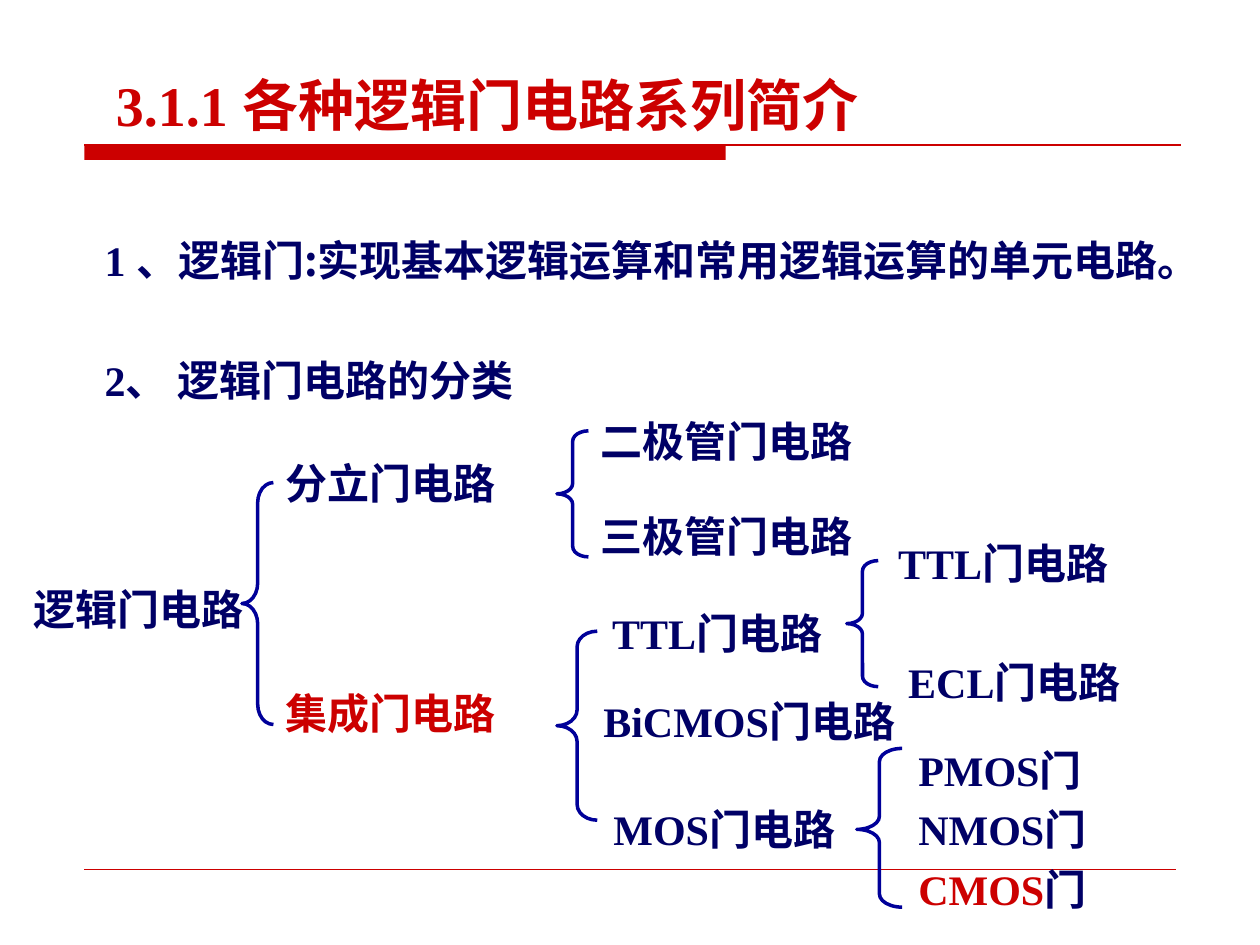
import pptx
import pptx.util
import pptx.dml.color
import pptx.enum.shapes
import pptx.enum.text
import pptx.oxml.ns
from lxml import etree

Inches = pptx.util.Inches
Pt = pptx.util.Pt
SHAPE = pptx.enum.shapes.MSO_SHAPE
COLORS = {"red": "CC0000", "navy": "000066", "brace": "000099"}
LATIN = "Times New Roman"
CJK = "Noto Sans CJK SC"

prs = pptx.Presentation()
prs.slide_width = Inches(10)
prs.slide_height = Inches(7.5)
s = prs.slides.add_slide(prs.slide_layouts[6])


def rgb(name):
    return pptx.dml.color.RGBColor.from_string(COLORS[name])


def add_text(box, runs, size=24, inset=(0.1, 0.05), spacing=None, middle=False):
    tf = s.shapes.add_textbox(*[Inches(v) for v in box]).text_frame
    tf.word_wrap = True
    tf.auto_size = pptx.enum.text.MSO_AUTO_SIZE.SHAPE_TO_FIT_TEXT
    tf.margin_left = tf.margin_right = Inches(inset[0])
    tf.margin_top = tf.margin_bottom = Inches(inset[1])
    if middle:
        tf.vertical_anchor = pptx.enum.text.MSO_ANCHOR.MIDDLE
    p = tf.paragraphs[0]
    if spacing:
        p.line_spacing = spacing
    for text, font, color in runs:
        r = p.add_run()
        r.text = text
        r.font.name = font
        r.font.size = Pt(size)
        r.font.bold = True
        r.font.color.rgb = rgb(color)
        ea = etree.SubElement(r.font._element, pptx.oxml.ns.qn("a:ea"))
        ea.set("typeface", CJK)


bar = s.shapes.add_shape(SHAPE.RECTANGLE, Inches(0.67), Inches(1.15), Inches(5.09), Inches(0.12))
bar.shadow.inherit = False
bar.fill.solid()
bar.fill.fore_color.rgb = rgb("red")
bar.line.fill.background()

for right, y, width in [(9.37, 1.15, 0.75), (9.33, 6.9, 0.25)]:
    line = s.shapes.add_connector(
        pptx.enum.shapes.MSO_CONNECTOR.STRAIGHT, Inches(0.67), Inches(y), Inches(right), Inches(y)
    )
    line.line.color.rgb = rgb("red")
    line.line.width = Pt(width)
    etree.SubElement(line._element.spPr, pptx.oxml.ns.qn("a:effectLst"))

add_text(
    (0.9, 0.55, 6.62, 0.56),
    [("3.1.1 ", LATIN, "red"), ("各种逻辑门电路系列简介", CJK, "red")],
    size=32,
    inset=(0.02, 0.01),
)

for y, width, number, text in [
    (1.86, 8.9, "1 、", "逻辑门:实现基本逻辑运算和常用逻辑运算的单元电路。"),
    (2.81, 5, "2、", " 逻辑门电路的分类"),
]:
    add_text(
        (0.83, y, width, 0.4),
        [(number, LATIN, "navy"), (text, CJK, "navy")],
        inset=(0, 0),
        middle=True,
    )

for x, y, w, h, adj, mid in [
    (1.92, 3.83, 0.25, 1.92, 0.64, 0.5),
    (4.42, 3.42, 0.25, 1, 0.33, 0.5),
    (4.42, 5.01, 0.32, 1.5, 0.39, 0.5),
    (6.72, 4.45, 0.25, 1, 0.33, 0.5),
    (6.8, 5.94, 0.36, 1.26, 0.29, 0.51),
]:
    sp = s.shapes.add_shape(SHAPE.LEFT_BRACE, Inches(x), Inches(y), Inches(w), Inches(h))
    sp.shadow.inherit = False
    sp.adjustments[0] = adj
    sp.adjustments[1] = mid
    sp.fill.background()
    sp.line.color.rgb = rgb("brace")
    sp.line.width = Pt(2)

for x, y, w, latin, cjk, latin_color, cjk_color in [
    (0.17, 4.5, 1.92, "", "逻辑门电路", "navy", "navy"),
    (2.17, 3.5, 2.17, "", "分立门电路", "navy", "navy"),
    (2.17, 5.33, 2.23, "", "集成门电路", "red", "red"),
    (4.67, 3.17, 2.75, "", "二极管门电路", "navy", "navy"),
    (4.67, 3.92, 2.67, "", "三极管门电路", "navy", "navy"),
    (4.76, 4.69, 2.33, "TTL", "门电路", "navy", "navy"),
    (4.69, 5.39, 2.91, "BiCMOS", "门电路", "navy", "navy"),
    (4.77, 6.25, 2.91, "MOS", "门电路", "navy", "navy"),
    (7.03, 4.14, 2.33, "TTL", "门电路", "navy", "navy"),
    (7.11, 5.08, 2.33, "ECL", "门电路", "navy", "navy"),
    (7.19, 5.78, 1.83, "PMOS", "门", "navy", "navy"),
    (7.19, 6.25, 1.92, "NMOS", "门", "navy", "navy"),
    (7.19, 6.72, 1.92, "CMOS", "门", "red", "navy"),
]:
    runs = [(latin, LATIN, latin_color)] if latin else []
    add_text((x, y, w, 0.58), runs + [(cjk, CJK, cjk_color)], spacing=1.2)

prs.save("out.pptx")
